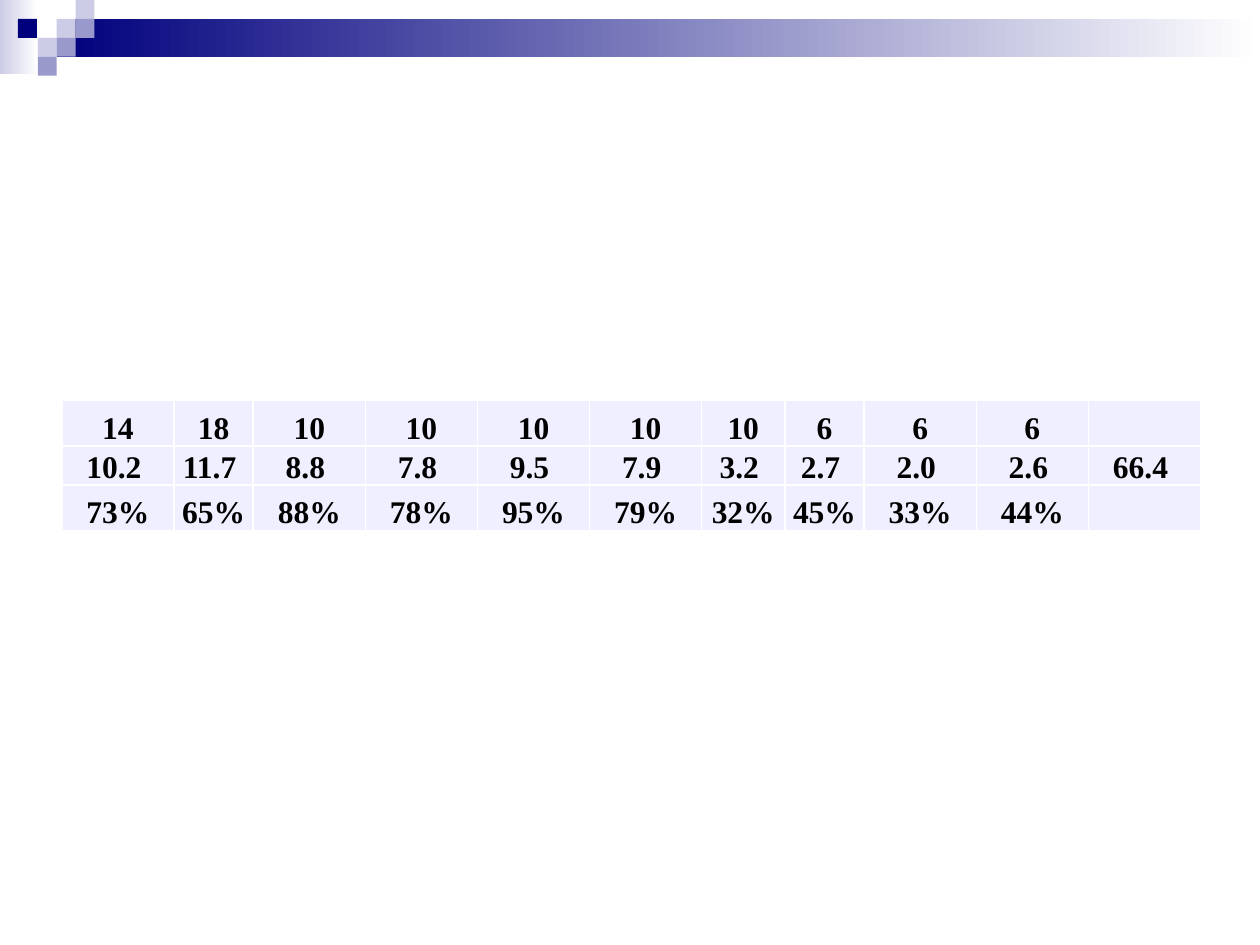
from lxml import etree
from pptx import Presentation, util as u
from pptx.dml.color import RGBColor
from pptx.enum import shapes, text
from pptx.oxml.ns import qn

INK = {"navy": "00007D", "mid": "9999CC", "pale": "CCCCE6",
       "cell": "EFEFFF", "white": "FFFFFF", "black": "000000"}
FONT = {"name": "Times New Roman", "size": u.Pt(18), "bold": True}
CELL = {"vertical_anchor": text.MSO_ANCHOR.BOTTOM, "margin_left": 0,
        "margin_right": 0, "margin_top": 0, "margin_bottom": 0}
UNIT = 0.15  # inches per grid step

SCORES = [
    ["14", "18", "10", "10", "10", "10", "10", "6", "6", "6", ""],
    ["10.2 ", "11.7 ", "8.8 ", "7.8 ", "9.5 ", "7.9 ", "3.2 ", "2.7 ",
     "2.0 ", "2.6 ", "66.4 "],
    ["73%", "65%", "88%", "78%", "95%", "79%", "32%", "45%", "33%", "44%", ""],
]
WIDE, SLIM = 0.89, 0.63
COLS = [WIDE, SLIM] + [WIDE] * 4 + [0.66, SLIM] + [WIDE] * 3
ROWS = [0.36, 0.31, 0.36]
# column, row and colour of each square in the corner
TILES = [(3, 1, "pale"), (4, 0, "pale"), (4, 1, "mid"), (2, 2, "pale"),
         (0.95, 1, "navy"), (3, 2, "mid"), (2, 3, "mid")]


def tint(name):
    return RGBColor.from_string(INK[name])


def assign(item, values):
    for key, value in values.items():
        setattr(item, key, value)


class Deck:
    def __init__(self):
        self.prs = Presentation()
        assign(self.prs, {"slide_width": u.Inches(10),
                          "slide_height": u.Inches(7.5)})
        self.slide = self.prs.slides.add_slide(self.prs.slide_layouts[6])

    def block(self, col, row, wide, high):
        box = [u.Inches(n * UNIT) for n in (col, row, wide, high)]
        shape = self.slide.shapes.add_shape(
            shapes.MSO_SHAPE.RECTANGLE, *box)
        shape.shadow.inherit = False
        shape.line.fill.background()
        return shape

    def tile(self, col, row, color):
        fill = self.block(col, row, 1, 1).fill
        fill.solid()
        fill.fore_color.rgb = tint(color)

    def fade(self, col, row, wide, high, color):
        """Add a block that fades to white from left to right."""
        fill = self.block(col, row, wide, high).fill
        fill.gradient()
        fill.gradient_angle = 0
        for stop, name, place in zip(fill.gradient_stops,
                                     (color, "white"), (0, 1)):
            stop.color.rgb = tint(name)
            stop.position = place

    def edge(self, cell):
        """Draw white one-point borders round a cell."""
        props = cell._tc.get_or_add_tcPr()
        for side in ("lnL", "lnR", "lnT", "lnB"):
            line = etree.SubElement(props, qn("a:" + side), w=str(u.Pt(1)))
            solid = etree.SubElement(line, qn("a:solidFill"))
            etree.SubElement(solid, qn("a:srgbClr"), val=INK["white"])

    def cell(self, cell, words):
        self.edge(cell)
        assign(cell, CELL)
        cell.fill.solid()
        cell.fill.fore_color.rgb = tint("cell")
        para = cell.text_frame.paragraphs[0]
        para.alignment = text.PP_ALIGN.CENTER
        if words:
            run = para.add_run()
            run.text = words
            assign(run.font, FONT)
            run.font.color.rgb = tint("black")

    def table(self, left, top, cols, rows, data):
        box = [u.Inches(n) for n in (left, top, sum(cols), sum(rows))]
        grid = self.slide.shapes.add_table(len(rows), len(cols), *box).table
        assign(grid, {"first_row": False, "horz_banding": False})
        for col, wide in zip(grid.columns, cols):
            col.width = u.Inches(wide)
        for row, high, line in zip(grid.rows, rows, data):
            row.height = u.Inches(high)
            for cell, words in zip(row.cells, line):
                self.cell(cell, words)


def main():
    deck = Deck()
    deck.fade(0, 0, 2, 3.9, "pale")
    deck.fade(3, 1, 10 / UNIT - 3, 2, "navy")
    for spot in TILES:
        deck.tile(*spot)
    deck.table(0.49, 3.18, COLS, ROWS, SCORES)
    deck.prs.save("out.pptx")


if __name__ == "__main__":
    main()
